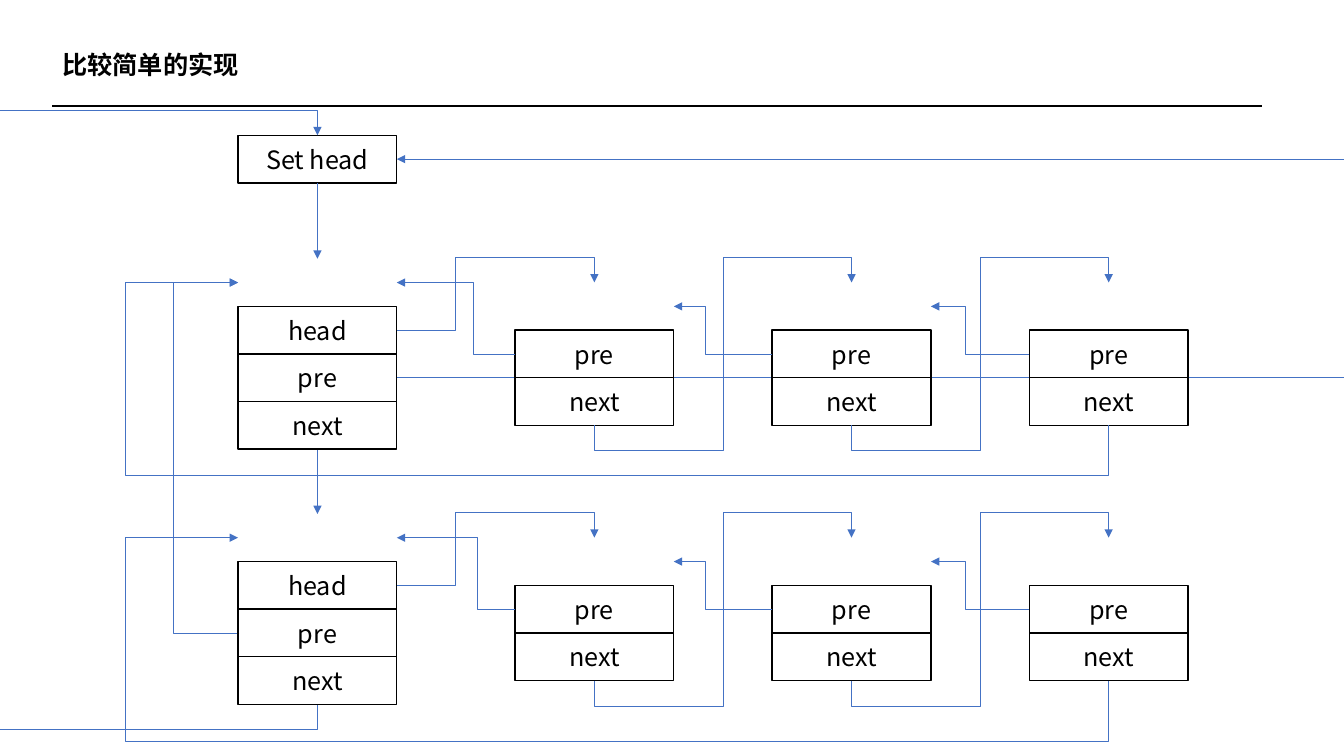
import lxml.etree
import pptx
import pptx.dml.color
import pptx.enum.shapes
import pptx.enum.text
import pptx.oxml.ns
import pptx.util

Cm = pptx.util.Cm
qn = pptx.oxml.ns.qn
BLACK = pptx.dml.color.RGBColor(0x00, 0x00, 0x00)
BLUE = pptx.dml.color.RGBColor(0x44, 0x72, 0xC4)
FONT = "Noto Sans CJK SC"
LABEL = {"name": FONT, "size": pptx.util.Pt(18), "bold": False}
TITLE = {"name": FONT, "size": pptx.util.Pt(18), "bold": True}

# Lengths in centimetres
PAGE_WIDTH, PAGE_HEIGHT = 33.87, 19.05
CELL_WIDTH, CELL_HEIGHT = 4, 1.2
HALF = CELL_HEIGHT / 2
HEAD_LEFT, NODE_LEFT, NODE_PITCH = 6, 12.98, 6.48
HEAD_MIDDLE, HEAD_RIGHT = HEAD_LEFT + CELL_WIDTH / 2, HEAD_LEFT + CELL_WIDTH
SET_TOP = 3.41
ROW_TOPS = (7.72, 14.15)
BACK_BENDS = ((11.92, 17.78, 24.32), (12.04, 17.78, 24.32))
RETURN_DROPS = (4.27, 4.54)
RETURN_LEFT = 3.18


def write(para, text, font_format):
    span = para.add_run()
    span.text = text
    for name, value in font_format.items():
        setattr(span.font, name, value)
    span.font.color.rgb = BLACK
    east_asian = lxml.etree.SubElement(span.font._element, qn("a:ea"))
    east_asian.set("typeface", FONT)


def add_line(page, points, color=BLUE, weight=0.5, arrow=True):
    """Joins right-angled points with one straight or bent connector."""
    kinds = pptx.enum.shapes.MSO_CONNECTOR
    start, end = points[0], points[-1]
    bends = points[1:-1]
    line = page.shapes.add_connector(
        kinds.ELBOW if bends else kinds.STRAIGHT,
        *(Cm(value) for value in (*start, *end)))
    line.line.color.rgb = color
    line.line.width = pptx.util.Pt(weight)
    properties = line._element.spPr
    if arrow:
        tail = lxml.etree.SubElement(properties.find(qn("a:ln")), qn("a:tailEnd"))
        tail.set("type", "triangle")
    lxml.etree.SubElement(properties, qn("a:effectLst"))
    if bends:
        bend_line(line, properties, start, end, bends)


def bend_line(line, properties, start, end, bends):
    upright = bends[0][0] == start[0]
    span = [end[axis] - start[axis] for axis in (0, 1)]
    turn = 90 if upright else 0
    # An upright start lies in a frame turned by a quarter
    flips = (span[1] < 0, span[0] > 0) if upright else (span[0] < 0, span[1] < 0)
    if not upright and all(flips):
        turn, flips = 180, (False, False)
    width, height = (abs(span[axis]) for axis in ((1, 0) if upright else (0, 1)))
    frame = {"left": (start[0] + end[0] - width) / 2,
             "top": (start[1] + end[1] - height) / 2,
             "width": width, "height": height}
    for name, value in frame.items():
        setattr(line, name, Cm(value))
    transform = properties.find(qn("a:xfrm"))
    for name, value in {"rot": turn * 60000, "flipH": int(flips[0]),
                        "flipV": int(flips[1])}.items():
        transform.set(name, str(value))
    geometry = properties.find(qn("a:prstGeom"))
    geometry.set("prst", f"bentConnector{len(bends) + 1}")
    guides = geometry.find(qn("a:avLst"))
    for index, bend in enumerate(bends[:-1]):
        axis = (index + upright) % 2
        share = round((bend[axis] - start[axis]) / span[axis] * 100000)
        guide = lxml.etree.SubElement(guides, qn("a:gd"))
        guide.set("name", f"adj{index + 1}")
        guide.set("fmla", f"val {share}")


def add_cells(page, left, top, labels):
    """Stacks one bordered cell for each label."""
    for index, label in enumerate(labels):
        box = page.shapes.add_shape(
            pptx.enum.shapes.MSO_SHAPE.RECTANGLE, Cm(left),
            Cm(top + index * CELL_HEIGHT), Cm(CELL_WIDTH), Cm(CELL_HEIGHT))
        box.shadow.inherit = False
        box.fill.background()
        box.line.color.rgb = BLACK
        box.line.width = pptx.util.Pt(1)
        box.text_frame.vertical_anchor = pptx.enum.text.MSO_ANCHOR.MIDDLE
        para = box.text_frame.paragraphs[0]
        para.alignment = pptx.enum.text.PP_ALIGN.CENTER
        write(para, label, LABEL)


def add_title(page, left, top, width, height):
    box = page.shapes.add_textbox(Cm(left), Cm(top), Cm(width), Cm(height))
    box.text_frame.word_wrap = True
    box.text_frame.auto_size = pptx.enum.text.MSO_AUTO_SIZE.SHAPE_TO_FIT_TEXT
    write(box.text_frame.paragraphs[0], "比较简单的实现", TITLE)
    rule = top + 1.54
    add_line(page, [(left, rule), (31.8, rule)], BLACK, 1.5, arrow=False)


def add_set_head(page, left, top):
    add_cells(page, left, top, ["Set head"])
    middle = left + CELL_WIDTH / 2
    add_line(page, [(middle, top + CELL_HEIGHT), (middle, ROW_TOPS[0] - CELL_HEIGHT)])


def add_row(page, top, back_bends, return_drop):
    """Draws a list head, its three nodes and the wires among them."""
    add_cells(page, HEAD_LEFT, top, ["head", "pre", "next"])
    entry, lift = top - HALF, top - 1.24
    node_bottom = top + HALF + 2 * CELL_HEIGHT
    lefts = [NODE_LEFT + index * NODE_PITCH for index in range(len(back_bends))]
    middles = [left + CELL_WIDTH / 2 for left in lefts]
    for index, (left, middle, bend) in enumerate(zip(lefts, middles, back_bends)):
        add_cells(page, left, top + HALF, ["pre", "next"])
        # Forward wire into this node
        if index == 0:
            corner = 11.48
            forward = [(HEAD_RIGHT, top + HALF), (corner, top + HALF)]
            back_end = (HEAD_RIGHT, entry)
        else:
            source = middles[index - 1]
            corner = (source + middle) / 2
            drop = node_bottom + 0.64
            forward = [(source, node_bottom), (source, drop), (corner, drop)]
            back_end = (lefts[index - 1] + CELL_WIDTH, top)
        add_line(page, forward + [(corner, lift), (middle, lift), (middle, entry)])
        # Backward wire out of this node
        pre = top + CELL_HEIGHT
        add_line(page, [(left, pre), (bend, pre), (bend, back_end[1]), back_end])
    # Return wire from the last node to the list head
    bottom = top + return_drop
    add_line(page, [(middles[-1], node_bottom), (middles[-1], bottom),
                    (RETURN_LEFT, bottom), (RETURN_LEFT, entry), (HEAD_LEFT, entry)])


def add_head_wires(page, first, second):
    """Links both list heads to each other and to the set head."""
    next_bottom = 3 * CELL_HEIGHT
    add_line(page, [(HEAD_MIDDLE, first + next_bottom),
                    (HEAD_MIDDLE, second - CELL_HEIGHT)])
    pre, start, turn = second + 1.5 * CELL_HEIGHT, HEAD_LEFT + 0.03, 4.38
    add_line(page, [(start, pre), (turn, pre), (turn, first - HALF),
                    (HEAD_LEFT, first - HALF)])
    # Ring wires that leave and enter at the page edges
    bottom, above = second + next_bottom, SET_TOP - 0.64
    add_line(page, [(HEAD_MIDDLE, bottom), (HEAD_MIDDLE, bottom + 0.64),
                    (0, bottom + 0.64)], arrow=False)
    add_line(page, [(0, above), (HEAD_MIDDLE, above), (HEAD_MIDDLE, SET_TOP)])
    pre = first + 1.5 * CELL_HEIGHT
    add_line(page, [(HEAD_RIGHT, pre), (PAGE_WIDTH, pre)], arrow=False)
    add_line(page, [(PAGE_WIDTH, SET_TOP + HALF), (HEAD_RIGHT, SET_TOP + HALF)])


def main():
    deck = pptx.Presentation()
    deck.slide_width, deck.slide_height = Cm(PAGE_WIDTH), Cm(PAGE_HEIGHT)
    page = deck.slides.add_slide(deck.slide_layouts[6])
    add_title(page, 1.32, 1.12, 6.27, 1.02)
    add_set_head(page, HEAD_LEFT, SET_TOP)
    add_head_wires(page, *ROW_TOPS)
    for top, bends, drop in zip(ROW_TOPS, BACK_BENDS, RETURN_DROPS):
        add_row(page, top, bends, drop)
    deck.save("out.pptx")


if __name__ == "__main__":
    main()
